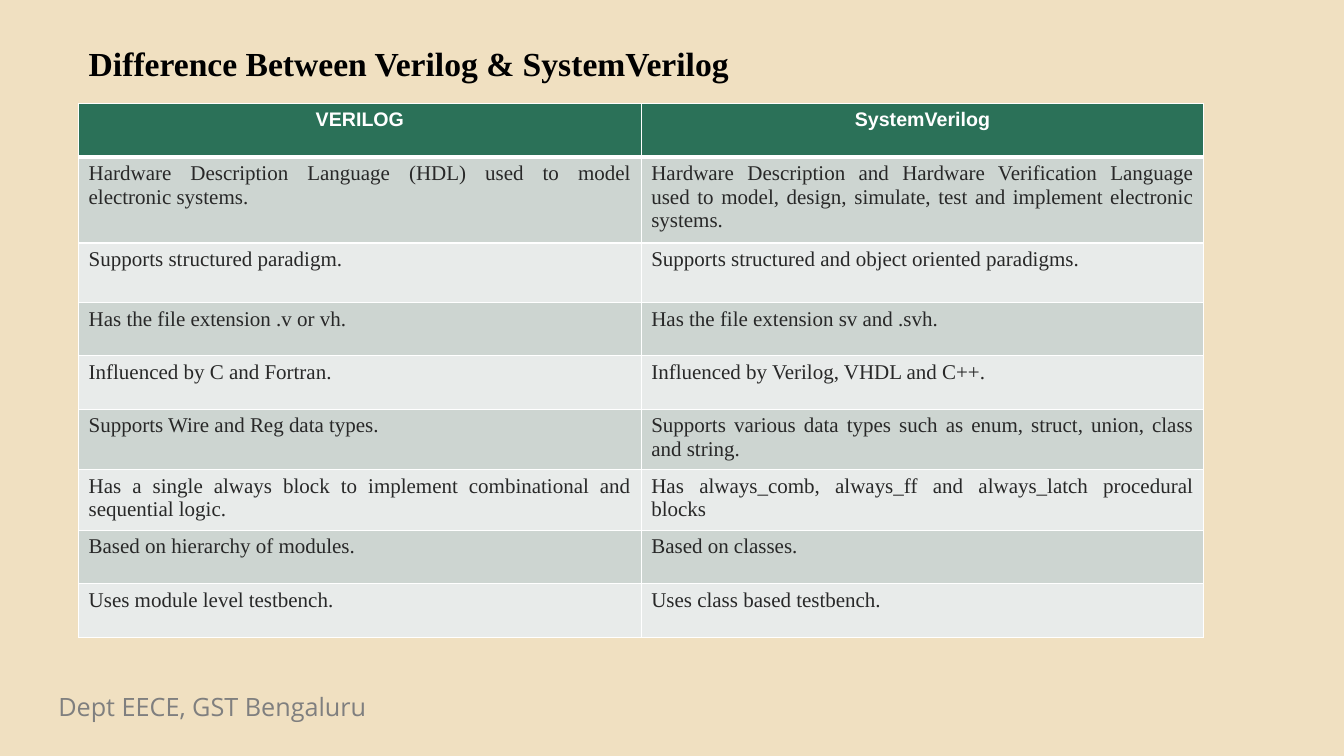
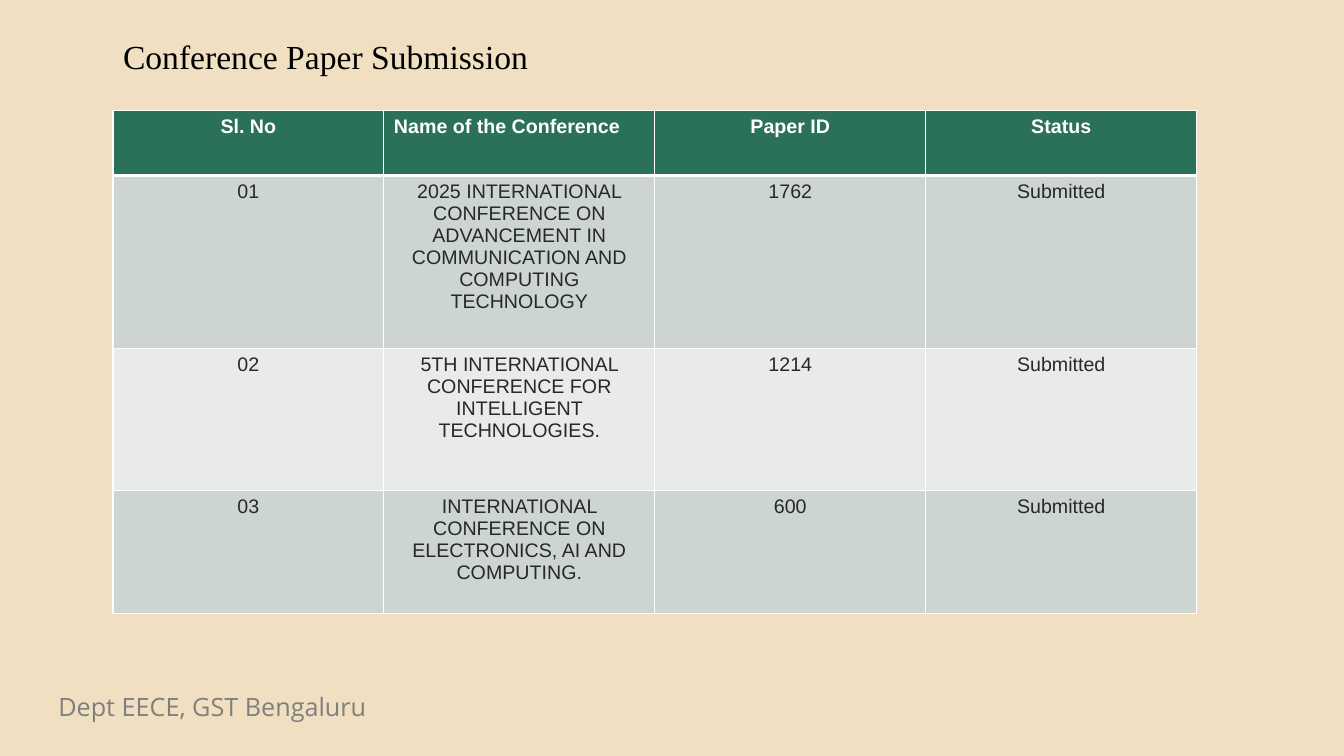
from lxml.etree import SubElement
from pptx import Presentation
from pptx.dml.color import RGBColor
from pptx.enum.text import MSO_ANCHOR, MSO_AUTO_SIZE, PP_ALIGN
from pptx.oxml.ns import qn
from pptx.util import Inches, Pt

SAND = RGBColor(0xF0, 0xE0, 0xC1)
GREEN = RGBColor(0x2B, 0x71, 0x58)
BANDS = (RGBColor(0xCD, 0xD5, 0xD1), RGBColor(0xE8, 0xEB, 0xEA))
WHITE = RGBColor(0xFF, 0xFF, 0xFF)
BLACK = RGBColor(0x00, 0x00, 0x00)
INK = RGBColor(0x28, 0x28, 0x28)
GREY = RGBColor(0x7F, 0x7F, 0x7F)

SERIF, SANS, FOOTER_FONT = "Times New Roman", "Arial", "Open Sans"
LEFT, CENTER, JUSTIFY = PP_ALIGN.LEFT, PP_ALIGN.CENTER, PP_ALIGN.JUSTIFY
FOOTER = "Dept EECE, GST Bengaluru"

SLIDES = [
    {
        "title": "Difference Between Verilog & SystemVerilog",
        "title_box": (0.78, 0.38, 6.97, 0.5),
        "title_bold": True,
        "table_box": (0.78, 1.03, 11.16),
        "row_heights": (0.53, 0.84, 0.59, 0.53, 0.53, 0.59, 0.59, 0.53, 0.53),
        "header_align": (CENTER, CENTER),
        "body": (SERIF, 15, JUSTIFY),
        "rows": [
            ("VERILOG", "SystemVerilog"),
            ("Hardware Description Language (HDL) used to model electronic systems.",
             "Hardware Description and Hardware Verification Language used to model, "
             "design, simulate, test and implement electronic systems."),
            ("Supports structured paradigm.",
             "Supports structured and object oriented paradigms."),
            ("Has the file extension .v or vh.", "Has the file extension sv and .svh."),
            ("Influenced by C and Fortran.", "Influenced by Verilog, VHDL and C++."),
            ("Supports Wire and Reg data types.",
             "Supports various data types such as enum, struct, union, class and string."),
            ("Has a single always block to implement combinational and sequential logic.",
             "Has always_comb, always_ff and always_latch procedural blocks"),
            ("Based on hierarchy of modules.", "Based on classes."),
            ("Uses module level testbench.", "Uses class based testbench."),
        ],
    },
    {
        "title": "Conference Paper Submission",
        "title_box": (1.12, 0.31, 4.62, 0.5),
        "title_bold": False,
        "table_box": (1.12, 1.1, 10.75),
        "row_heights": (0.64, 1.72, 1.41, 1.22),
        "header_align": (CENTER, LEFT, CENTER, CENTER),
        "body": (SANS, 14, CENTER),
        "rows": [
            ("Sl. No", "Name of the Conference", "Paper ID", "Status"),
            ("01", "2025 INTERNATIONAL CONFERENCE ON ADVANCEMENT IN COMMUNICATION "
                   "AND COMPUTING TECHNOLOGY", "1762", "Submitted"),
            ("02", "5TH INTERNATIONAL CONFERENCE FOR INTELLIGENT TECHNOLOGIES.",
             "1214", "Submitted"),
            ("03", "INTERNATIONAL CONFERENCE ON ELECTRONICS, AI AND COMPUTING.",
             "600", "Submitted"),
        ],
    },
]


def write(frame, text, font_name, size, color, bold=False, align=LEFT):
    frame.text = text
    paragraph = frame.paragraphs[0]
    paragraph.alignment = align
    font = paragraph.runs[0].font
    font.name, font.size, font.bold = font_name, Pt(size), bold
    font.color.rgb = color


def set_borders(cell, top, bottom):
    """Draw white cell borders; must run before the cell fill is set."""
    properties = cell._tc.get_or_add_tcPr()
    for side, width in (("L", 1), ("R", 1), ("T", top), ("B", bottom)):
        line = SubElement(properties, qn(f"a:ln{side}"), w=str(Pt(width)))
        fill = SubElement(line, qn("a:solidFill"))
        SubElement(fill, qn("a:srgbClr"), val=str(WHITE))


def add_title(slide, content):
    title = slide.shapes.title
    title.left, title.top, title.width, title.height = map(Inches, content["title_box"])
    frame = title.text_frame
    frame.auto_size = MSO_AUTO_SIZE.NONE
    frame.vertical_anchor = MSO_ANCHOR.TOP
    write(frame, content["title"], SERIF, 24, BLACK, content["title_bold"])


def add_footer(slide):
    box = slide.shapes.add_textbox(Inches(0.48), Inches(6.81), Inches(5.24), Inches(0.4))
    box.text_frame.word_wrap = True
    write(box.text_frame, FOOTER, FOOTER_FONT, 18, GREY)


def add_comparison(slide, content):
    rows, heights = content["rows"], content["row_heights"]
    left, top, width = content["table_box"]
    table = slide.shapes.add_table(
        len(rows), len(rows[0]), Inches(left), Inches(top),
        Inches(width), Inches(sum(heights))).table
    body_font, body_size, body_align = content["body"]
    for r, (texts, height) in enumerate(zip(rows, heights)):
        table.rows[r].height = Inches(height)
        for c, text in enumerate(texts):
            cell = table.cell(r, c)
            set_borders(cell, top=3 if r == 1 else 1, bottom=3 if r == 0 else 1)
            cell.fill.solid()
            if r == 0:
                cell.fill.fore_color.rgb = GREEN
                write(cell.text_frame, text, SANS, 14, WHITE, True,
                      content["header_align"][c])
            else:
                cell.fill.fore_color.rgb = BANDS[(r - 1) % 2]
                write(cell.text_frame, text, body_font, body_size, INK,
                      align=body_align)


def main():
    deck = Presentation()
    deck.slide_width, deck.slide_height = Inches(13.33), Inches(7.5)
    background = deck.slide_master.background.fill
    background.solid()
    background.fore_color.rgb = SAND
    title_only = deck.slide_layouts[5]
    for content in SLIDES:
        slide = deck.slides.add_slide(title_only)
        add_footer(slide)
        add_comparison(slide, content)
        add_title(slide, content)
    deck.save("out.pptx")


if __name__ == "__main__":
    main()
